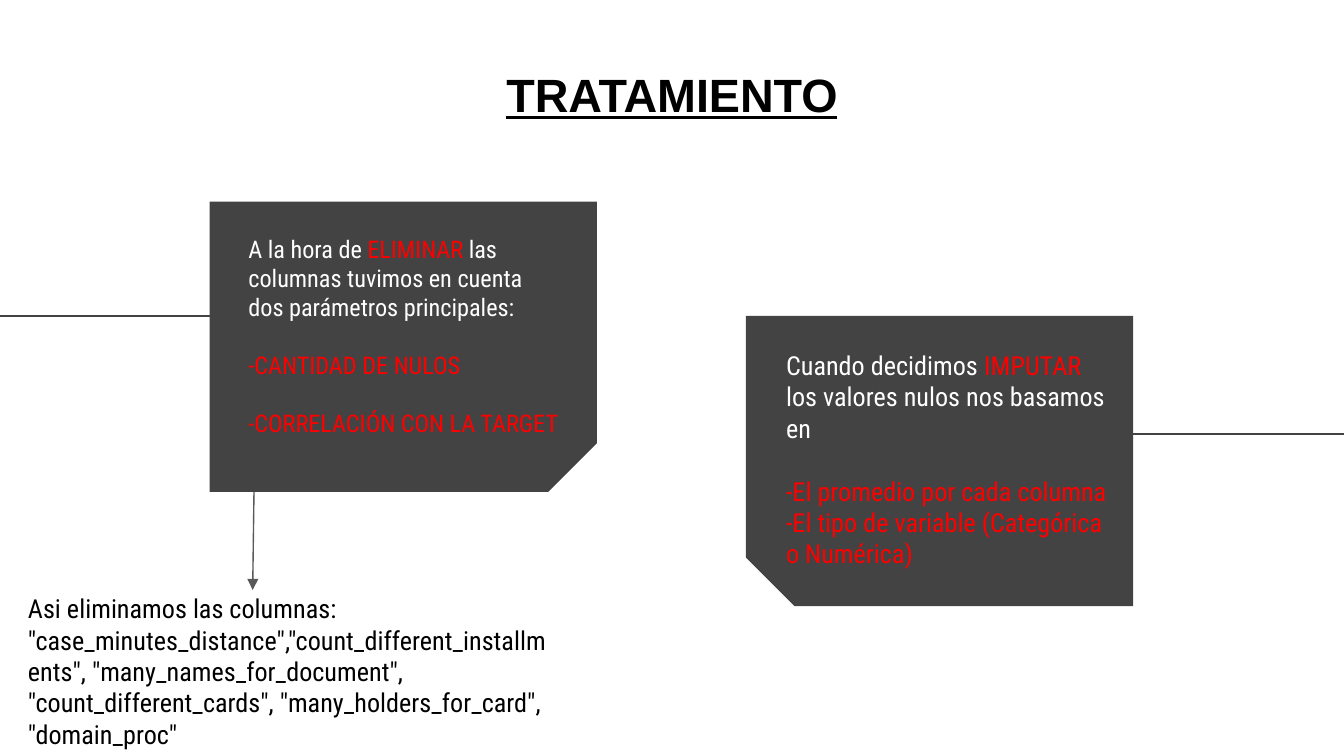
from lxml import etree
from pptx import Presentation
from pptx.dml.color import RGBColor
from pptx.enum import shapes, text
from pptx.oxml import ns
from pptx.util import Inches, Pt

DARK, RED, WHITE, BLACK = "434343", "FF0000", "FFFFFF", "000000"
BODY_FONT = "Roboto Condensed"
CARD_W, CARD_H = 2.88, 2.16


def color(value):
    return RGBColor.from_string(value)


def set_frame(tf):
    tf.word_wrap = True
    tf.auto_size = text.MSO_AUTO_SIZE.NONE
    tf.vertical_anchor = text.MSO_ANCHOR.TOP
    tf.margin_left = tf.margin_right = Inches(0.1)
    tf.margin_top = tf.margin_bottom = Inches(0.1)


def add_title(slide, x, y, w, h, words):
    sp = slide.shapes.title
    sp.left, sp.top, sp.width, sp.height = map(Inches, (x, y, w, h))
    set_frame(sp.text_frame)
    p = sp.text_frame.paragraphs[0]
    p.text = words
    p.alignment = text.PP_ALIGN.CENTER
    p.font.name, p.font.size = "Arial", Pt(25)
    p.font.bold = p.font.underline = True
    p.font.color.rgb = color(BLACK)


def add_text(slide, x, y, w, h, size, paragraphs):
    """Each paragraph is (blank lines before, [(words, colour), ...])."""
    sp = slide.shapes.add_textbox(*map(Inches, (x, y, w, h)))
    tf = sp.text_frame
    set_frame(tf)
    for i, (gap, runs) in enumerate(paragraphs):
        p = tf.add_paragraph() if i else tf.paragraphs[0]
        p.font.name, p.font.size = BODY_FONT, Pt(size)
        if gap:
            p.space_before = Pt(gap * size * 1.2)
        for words, tint in runs:
            r = p.add_run()
            r.text = words
            r.font.color.rgb = color(tint)


def add_line(slide, x1, y1, x2, y2, tint, arrow=False):
    cx = slide.shapes.add_connector(
        shapes.MSO_CONNECTOR.STRAIGHT, *map(Inches, (x1, y1, x2, y2)))
    cx.line.color.rgb = color(tint)
    cx.line.width = Pt(0.75)
    if arrow:
        ln = cx._element.spPr.find(ns.qn("a:ln"))
        etree.SubElement(ln, ns.qn("a:tailEnd"), type="triangle")
    etree.SubElement(cx._element.spPr, ns.qn("a:effectLst"))


def add_card(slide, x, y, snip_left=False):
    """Dark card with a cut lower corner: a snipped rectangle on its side."""
    shift = (CARD_W - CARD_H) / 2
    sp = slide.shapes.add_shape(
        shapes.MSO_SHAPE.SNIP_1_RECTANGLE,
        *map(Inches, (x + shift, y - shift, CARD_H, CARD_W)))
    sp.adjustments[0] = 0.167
    sp.rotation = 90
    if snip_left:
        sp.rotation = 270
        sp._element.spPr.xfrm.set("flipH", "1")
    sp.shadow.inherit = False
    sp.fill.solid()
    sp.fill.fore_color.rgb = color(DARK)
    sp.line.fill.background()


def add_removal(slide, x, y):
    add_card(slide, x, y)
    add_line(slide, x + 1.09, y + 0.85, -0.02, y + 0.85, DARK)
    add_text(slide, x + 0.19, y + 0.14, 2.52, 1.89, 13, [
        (0, [("A la hora de ", WHITE), ("ELIMINAR ", RED),
             ("las columnas tuvimos en cuenta dos parámetros principales:", WHITE)]),
        (1, [("-CANTIDAD DE NULOS", RED)]),
        (1, [("-CORRELACIÓN CON LA TARGET", RED)]),
    ])
    bottom = y + CARD_H
    add_line(slide, x + 0.33, bottom, x + 0.32, bottom + 0.73, "595959", arrow=True)
    add_text(slide, x - 1.45, bottom + 0.65, 4.08, 1.38, 14, [
        (0, [('Asi eliminamos las columnas: "case_minutes_distance",'
              '"count_different_installments", "many_names_for_document", '
              '"count_different_cards", "many_holders_for_card", "domain_proc"', BLACK)]),
    ])


def add_imputation(slide, x, y):
    add_card(slide, x, y, snip_left=True)
    add_line(slide, 10.14, y + 0.88, x + 1.76, y + 0.88, DARK)
    add_text(slide, x + 0.2, y + 0.15, 2.61, 1.85, 14, [
        (0, [("Cuando decidimos ", WHITE), ("IMPUTAR ", RED),
             ("los valores nulos nos basamos en", WHITE)]),
        (1, [("-El promedio por cada columna", RED)]),
        (0, [("-El tipo de variable (Categórica o Numérica)", RED)]),
    ])


def main():
    prs = Presentation()
    prs.slide_width = Inches(10)
    prs.slide_height = prs.slide_width * 9 // 16
    slide = prs.slides.add_slide(prs.slide_layouts[5])
    add_title(slide, 2.15, 0.39, 5.7, 1.03, "TRATAMIENTO")
    add_removal(slide, 1.56, 1.5)
    add_imputation(slide, 5.55, 2.35)
    prs.save("out.pptx")


if __name__ == "__main__":
    main()
